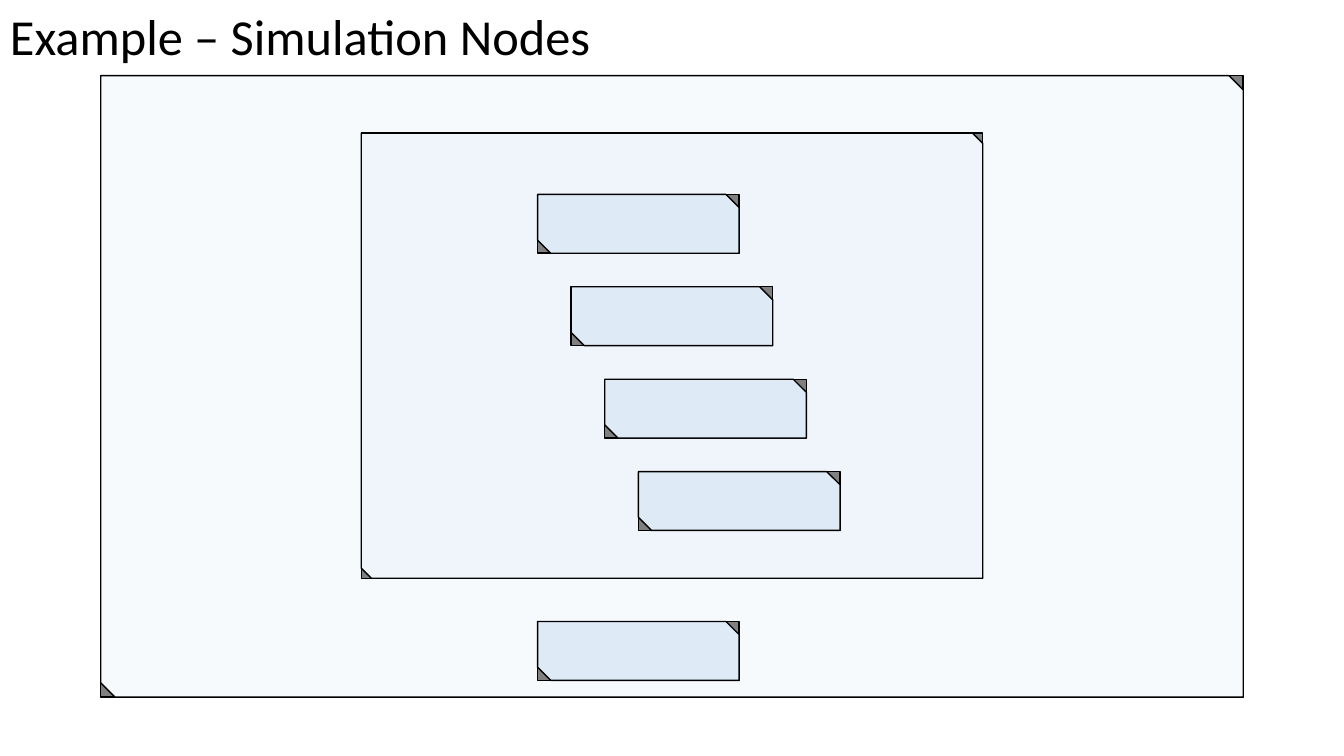
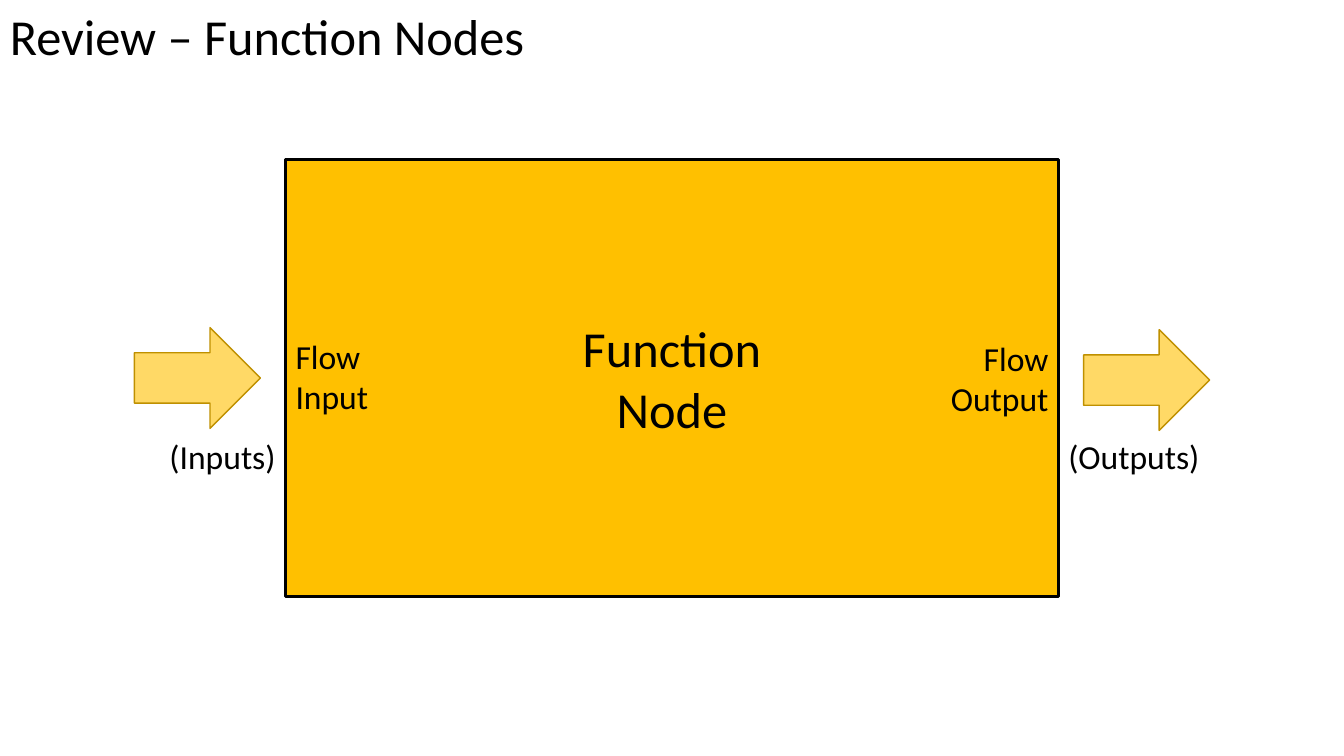
from dataclasses import dataclass

from pptx import Presentation
from pptx import util as u
from pptx.dml.color import RGBColor
from pptx.enum import shapes, text


@dataclass(frozen=True)
class Theme:
    font: str = "Calibri"
    ink: str = "000000"
    corner: str = "808080"
    system: str = "F7FAFD"
    group: str = "EFF5FB"
    node: str = "DEEBF7"
    function: str = "FFC000"
    arrow: str = "FFD966"
    arrow_line: str = "BF9000"
    title_size: float = 36
    label_size: float = 24
    thin: float = 1
    thick: float = 2.25


@dataclass(frozen=True)
class Box:
    column: float
    row: float
    columns: float
    rows: float

    def lengths(self) -> list[int]:
        cells = (self.column, self.row, self.columns, self.rows)
        return [u.Inches(cell / CELLS_PER_INCH) for cell in cells]


@dataclass(frozen=True)
class Node:
    box: Box
    fill: str
    snip: float


@dataclass(frozen=True)
class Label:
    box: Box
    lines: str
    align: text.PP_ALIGN = text.PP_ALIGN.LEFT


CELLS_PER_INCH = 12
SLIDE = Box(0, 0, 160, 90)
THEME = Theme()
SHAPE = shapes.MSO_SHAPE
ALIGN = text.PP_ALIGN

STAIR = [Box(64 + 4 * step, 23.15 + 11 * step, 24, 7) for step in range(4)]
NODES = [
    Node(Box(12, 9, 136, 74), THEME.system, 0.023),
    Node(Box(43, 15.85, 74, 53), THEME.group, 0.023),
    *[Node(box, THEME.node, 0.223) for box in [*STAIR, Box(64, 74, 24, 7)]],
]

FUNCTION = Label(Box(34, 19, 92, 52), "Function\nNode", ALIGN.CENTER)
ARROWS = [Box(16, 39, 15, 12), Box(129, 39.25, 15, 12)]
LABELS = [
    Label(Box(34, 39.4, 20, 10.9), "Flow\nInput"),
    Label(Box(106, 39.6, 20, 10.9), "Flow\nOutput", ALIGN.RIGHT),
    Label(Box(10.5, 51.25, 23.5, 6), "(Inputs)", ALIGN.RIGHT),
    Label(Box(126, 51.25, 23.5, 6), "(Outputs)"),
]


def apply_format(target, values: dict) -> None:
    for name, value in values.items():
        setattr(target, name, value)


def write(shape, label: Label, size: float, anchor=text.MSO_ANCHOR.TOP) -> None:
    frame = shape.text_frame
    apply_format(frame, {"text": label.lines, "word_wrap": True, "vertical_anchor": anchor})
    for paragraph in frame.paragraphs:
        paragraph.alignment = label.align
        apply_format(paragraph.font, {"name": THEME.font, "size": u.Pt(size)})
        paragraph.font.color.rgb = RGBColor.from_string(THEME.ink)


def add_outlined(parent, kind: SHAPE, box: Box, fill: str,
                 line: str = THEME.ink, width: float = THEME.thin):
    shape = parent.shapes.add_shape(kind, *box.lengths())
    shape.shadow.inherit = False
    shape.fill.solid()
    shape.fill.fore_color.rgb = RGBColor.from_string(fill)
    shape.line.color.rgb = RGBColor.from_string(line)
    shape.line.width = u.Pt(width)
    return shape


def add_label(slide, label: Label, size: float = THEME.label_size) -> None:
    write(slide.shapes.add_textbox(*label.box.lengths()), label, size)


def add_node(slide, node: Node) -> None:
    group = slide.shapes.add_group_shape()
    add_outlined(group, SHAPE.RECTANGLE, node.box, THEME.corner)
    face = add_outlined(group, SHAPE.SNIP_2_DIAG_RECTANGLE, node.box, node.fill)
    face.adjustments[0] = 0
    face.adjustments[1] = node.snip


def add_titled_slide(presentation, title: str):
    slide = presentation.slides.add_slide(presentation.slide_layouts[6])
    add_label(slide, Label(Box(0, 0, 104, 8.5), title), THEME.title_size)
    return slide


def build_simulation_nodes(presentation) -> None:
    slide = add_titled_slide(presentation, "Example – Simulation Nodes")
    for node in NODES:
        add_node(slide, node)


def build_function_nodes(presentation) -> None:
    slide = add_titled_slide(presentation, "Review – Function Nodes")
    function = add_outlined(slide, SHAPE.RECTANGLE, FUNCTION.box, THEME.function,
                            width=THEME.thick)
    write(function, FUNCTION, THEME.title_size, text.MSO_ANCHOR.MIDDLE)
    for box in ARROWS:
        add_outlined(slide, SHAPE.RIGHT_ARROW, box, THEME.arrow, THEME.arrow_line)
    for label in LABELS:
        add_label(slide, label)


def main() -> None:
    presentation = Presentation()
    _, _, width, height = SLIDE.lengths()
    apply_format(presentation, {"slide_width": width, "slide_height": height})
    build_simulation_nodes(presentation)
    build_function_nodes(presentation)
    presentation.save("out.pptx")


if __name__ == "__main__":
    main()
